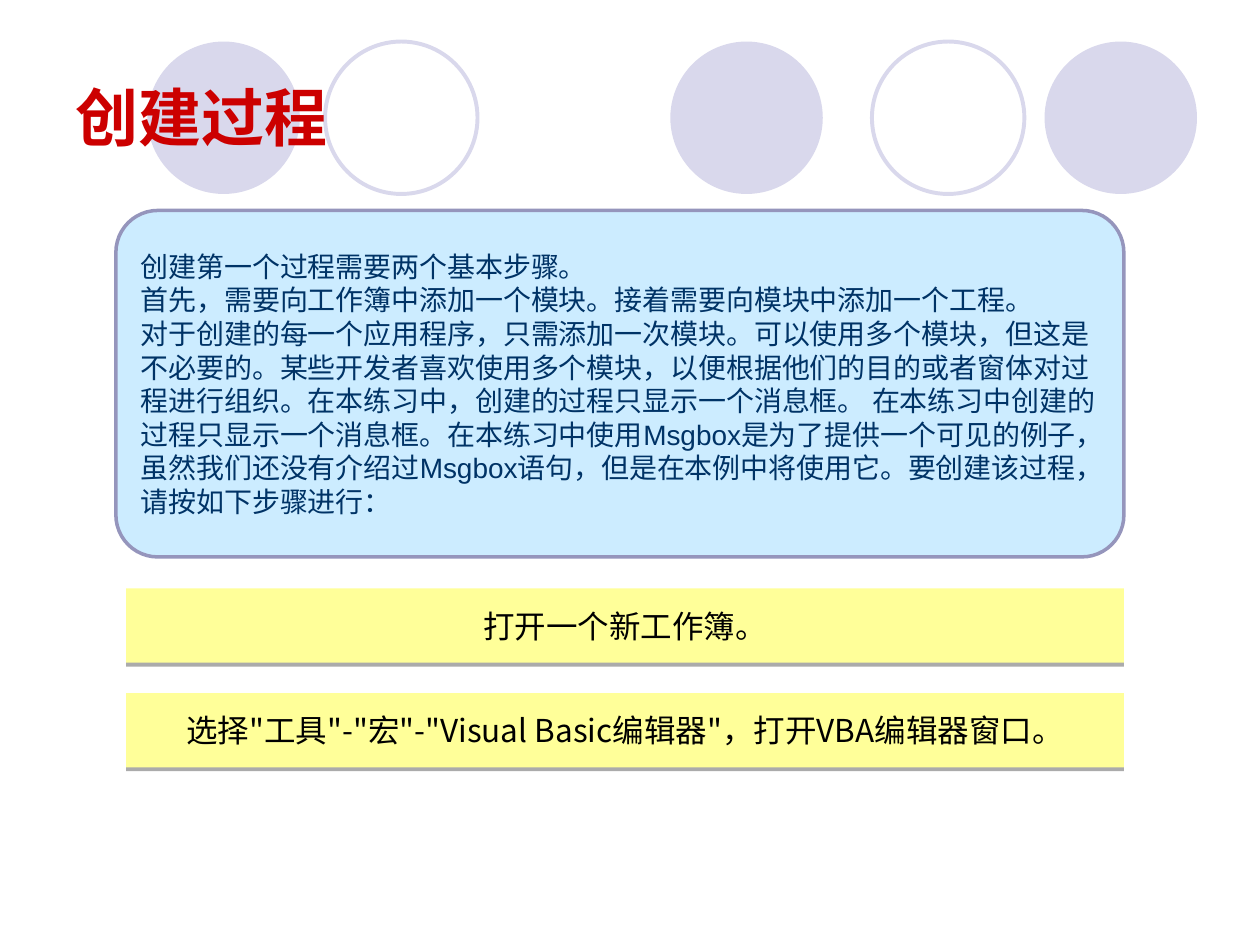
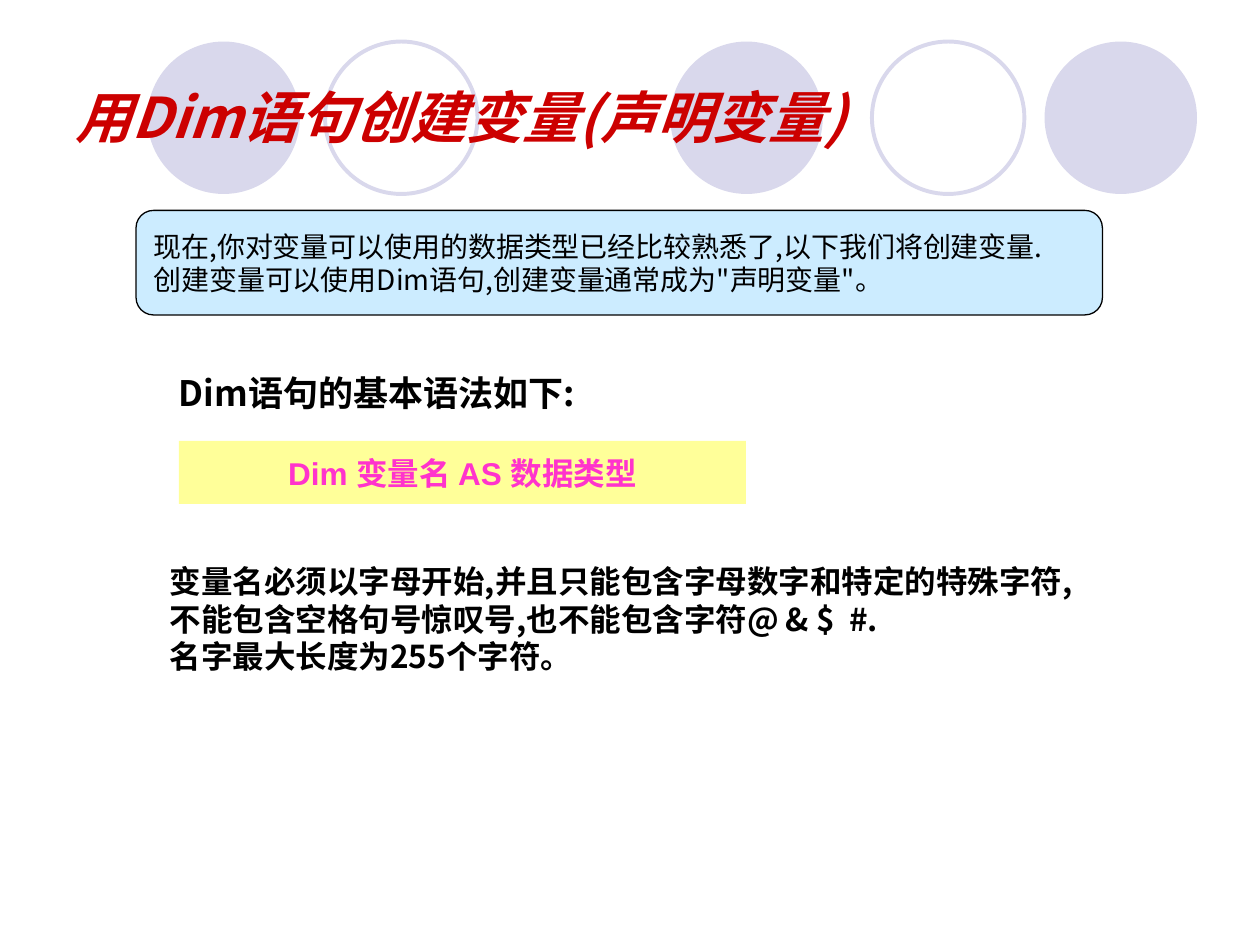
from lxml import etree
from pptx import Presentation
from pptx.dml.color import RGBColor
from pptx.enum.shapes import MSO_SHAPE
from pptx.enum.text import MSO_ANCHOR, PP_ALIGN
from pptx.oxml.ns import qn
from pptx.util import Inches, Pt

HUES = {
    "circle": "D9D8EC", "title": "CC0000", "panel": "CCECFF",
    "edge": "9595BC", "navy": "003366", "band": "FFFF99",
    "pink": "FF33CC", "black": "000000",
}
LATIN, HAN = "Arial", "Noto Sans CJK SC"

# Left edge of each header circle, and whether it is filled
CIRCLES = [(1.17, True), (2.58, False), (5.32, True), (6.92, False), (8.29, True)]


def hue(name):
    return RGBColor.from_string(HUES[name])


def write(shape, text, size=18, color="black", font=HAN, bold=False,
          italic=False, align=PP_ALIGN.LEFT, anchor=MSO_ANCHOR.MIDDLE, wrap=True):
    """Put one paragraph per line of text into the shape."""
    frame = shape.text_frame
    frame.word_wrap = wrap
    frame.vertical_anchor = anchor
    for i, line in enumerate(text.split("\n")):
        para = frame.add_paragraph() if i else frame.paragraphs[0]
        para.alignment = align
        run = para.add_run()
        run.text = line
        face = run.font
        face.name, face.size = font, Pt(size)
        face.bold, face.italic = bold, italic
        face.color.rgb = hue(color)
        # East Asian typeface follows the latin one
        props = face._element
        props.find(qn("a:latin")).addnext(
            props.makeelement(qn("a:ea"), {"typeface": HAN}))


def block(slide, kind, box, fill=None, line=None, width=1.0, round=None):
    shape = slide.shapes.add_shape(kind, *map(Inches, box))
    shape.shadow.inherit = False
    if fill:
        shape.fill.solid()
        shape.fill.fore_color.rgb = hue(fill)
    else:
        shape.fill.background()
    if line:
        shape.line.color.rgb = hue(line)
        shape.line.width = Pt(width)
    else:
        shape.line.fill.background()
    if round is not None:
        shape.adjustments[0] = round
    return shape


def panel(slide, box, text, line, width, round, **style):
    shape = block(slide, MSO_SHAPE.ROUNDED_RECTANGLE, box, "panel", line, width, round)
    write(shape, text, size=16, **style)


def band(slide, box, text, **style):
    shape = block(slide, MSO_SHAPE.RECTANGLE, box, "band")
    write(shape, text, align=PP_ALIGN.CENTER, **style)
    return shape


def shade(shape):
    """Give the shape a hard shadow just below it."""
    effects = shape._element.spPr.find(qn("a:effectLst"))
    outer = etree.SubElement(effects, qn("a:outerShdw"), blurRad="0",
                             dist=str(Pt(2.2)), dir="5400000", algn="ctr", rotWithShape="0")
    color = etree.SubElement(outer, qn("a:srgbClr"), val=HUES["black"])
    etree.SubElement(color, qn("a:alpha"), val="32000")


def label(slide, box, text, **style):
    write(slide.shapes.add_textbox(*map(Inches, box)), text, **style)


def start(deck, title, **style):
    """Add a slide with the circles and the title."""
    slide = deck.slides.add_slide(deck.slide_layouts[6])
    for left, full in CIRCLES:
        look = {"fill": "circle"} if full else {"line": "circle", "width": 2.25}
        block(slide, MSO_SHAPE.OVAL, (left, 0.33, 1.21, 1.21), **look)
    label(slide, (0.5, 0.3, 9, 1.25), title, color="title", bold=True, **style)
    return slide


def steps(deck):
    slide = start(deck, "创建过程", size=36, font=LATIN)
    panel(slide, (0.92, 1.67, 8, 2.75),
          "创建第一个过程需要两个基本步骤。\n"
          "首先，需要向工作簿中添加一个模块。接着需要向模块中添加一个工程。\n"
          "对于创建的每一个应用程序，只需添加一次模块。可以使用多个模块，但这是不必要的。"
          "某些开发者喜欢使用多个模块，以便根据他们的目的或者窗体对过程进行组织。"
          "在本练习中，创建的过程只显示一个消息框。 在本练习中创建的过程只显示一个消息框。"
          "在本练习中使用Msgbox是为了提供一个可见的例子，虽然我们还没有介绍过Msgbox语句，"
          "但是在本例中将使用它。要创建该过程，请按如下步骤进行：",
          line="edge", width=2, round=0.121, color="navy", font=LATIN)
    # Numbered actions, top to bottom
    actions = ["打开一个新工作簿。",
               '选择"工具"-"宏"-"Visual Basic编辑器"，打开VBA编辑器窗口。']
    for i, text in enumerate(actions):
        shade(band(slide, (1, 4.67 + 0.83 * i, 7.92, 0.59), text))


def syntax(deck):
    slide = start(deck, "用Dim语句创建变量(声明变量)", size=32, italic=True)
    panel(slide, (1.08, 1.67, 7.67, 0.83),
          "现在,你对变量可以使用的数据类型已经比较熟悉了,以下我们将创建变量.\n"
          '创建变量可以使用Dim语句,创建变量通常成为"声明变量"。',
          line="black", width=0.75, round=0.167, wrap=False)
    label(slide, (1.32, 2.9, 3.93, 0.44), "Dim语句的基本语法如下:",
          size=20, bold=True, anchor=MSO_ANCHOR.TOP)
    band(slide, (1.42, 3.5, 4.5, 0.5), "Dim 变量名 AS 数据类型",
         color="pink", font=LATIN, bold=True, wrap=False)
    # Naming rules
    label(slide, (1.25, 4.41, 7.68, 1),
          "变量名必须以字母开始,并且只能包含字母数字和特定的特殊字符,\n"
          "不能包含空格句号惊叹号,也不能包含字符@ & $  #.\n"
          "名字最大长度为255个字符。",
          bold=True, anchor=MSO_ANCHOR.TOP, wrap=False)


def main():
    deck = Presentation()
    deck.slide_width, deck.slide_height = Inches(10), Inches(7.5)
    steps(deck)
    syntax(deck)
    deck.save("out.pptx")


if __name__ == "__main__":
    main()
